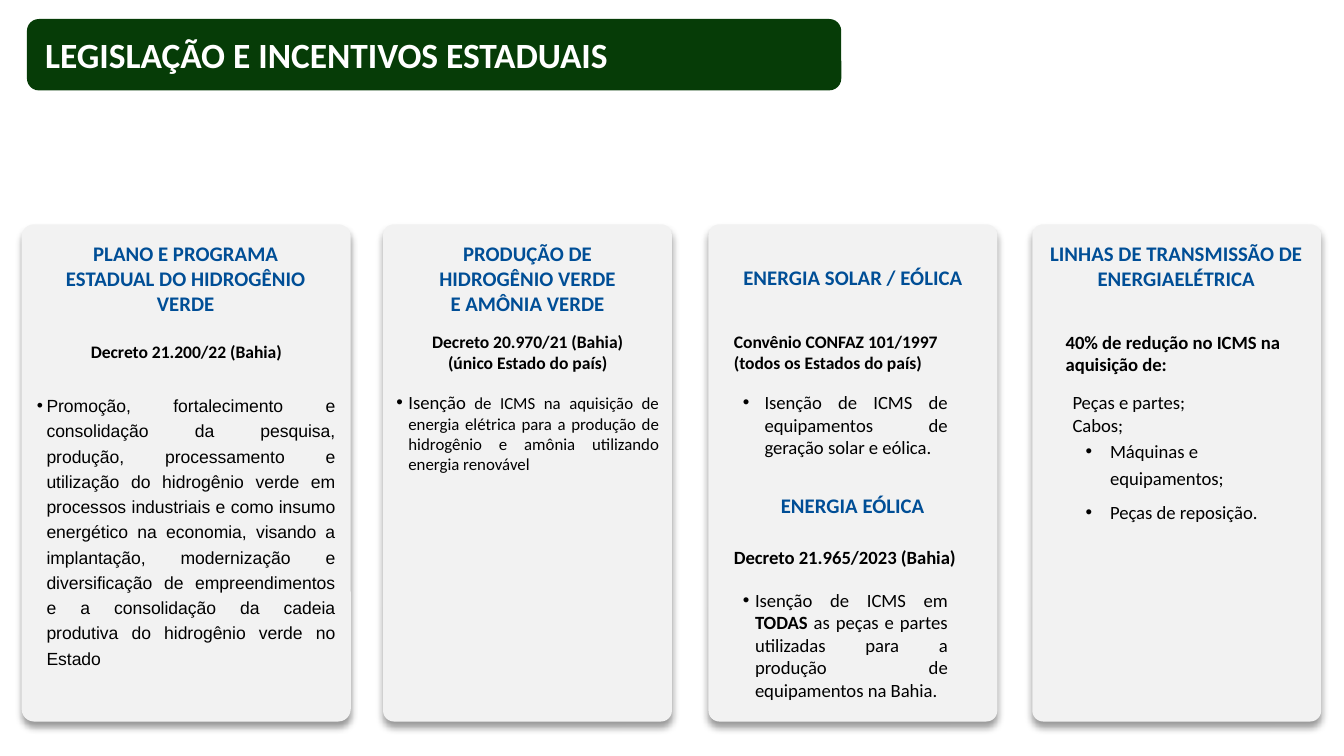
from copy import deepcopy
from dataclasses import dataclass

from lxml import etree
from pptx import Presentation
from pptx.dml.color import RGBColor
from pptx.enum.shapes import MSO_SHAPE
from pptx.enum.text import MSO_ANCHOR, PP_ALIGN
from pptx.oxml.ns import qn
from pptx.slide import Slide
from pptx.text.text import TextFrame
from pptx.util import Cm, Pt

ROUNDED = MSO_SHAPE.ROUNDED_RECTANGLE
MIDDLE = MSO_ANCHOR.MIDDLE
LEFT, CENTER, JUSTIFY = PP_ALIGN.LEFT, PP_ALIGN.CENTER, PP_ALIGN.JUSTIFY

COLORS = {
    "banner": "063C07",
    "card": "F2F2F2",
    "heading": "004E96",
    "text": "000000",
    "white": "FFFFFF",
}
CARD_TOP, CARD_HEIGHT = 4.24, 9.4
HEADING_TOP, DECREE_TOP, BODY_TOP = 4.42, 6.12, 7.26


@dataclass(frozen=True)
class Run:
    text: str
    size: float = 10
    bold: bool = False


@dataclass(frozen=True)
class Item:
    runs: tuple[Run, ...]
    margin: float = 0
    hanging: float = 0
    spacing: float = 1.0


@dataclass(frozen=True)
class Box:
    left: float
    top: float
    width: float
    height: float


@dataclass(frozen=True)
class Label:
    box: Box
    lines: tuple[str, ...]
    size: float = 11.1
    color: str = "heading"
    align: PP_ALIGN = CENTER
    inset: float = 0


@dataclass(frozen=True)
class BulletList:
    box: Box
    items: tuple[Item, ...]
    align: PP_ALIGN = JUSTIFY
    font: str = "Calibri"


CARDS = [
    Box(left, CARD_TOP, width, CARD_HEIGHT)
    for left, width in ((0.41, 6.22), (7.24, 5.46), (13.39, 5.46), (19.51, 5.46))
]

LABELS = [
    Label(Box(1.12, HEADING_TOP, 4.78, 1.68), ("PLANO E PROGRAMA ESTADUAL DO HIDROGÊNIO VERDE",)),
    Label(Box(7.62, HEADING_TOP, 4.7, 1.68), ("PRODUÇÃO DE\vHIDROGÊNIO VERDE\vE AMÔNIA VERDE",)),
    Label(Box(13.54, 4.88, 5.16, 0.74), ("ENERGIA SOLAR / EÓLICA",)),
    Label(Box(19.82, HEADING_TOP, 4.82, 1.19), ("LINHAS DE TRANSMISSÃO DE ENERGIAELÉTRICA",)),
    Label(Box(14.02, 9.19, 4.19, 0.74), ("ENERGIA EÓLICA",)),
    Label(Box(1.45, 6.32, 4.14, 0.66), ("Decreto 21.200/22 (Bahia)",), 9.4, "text"),
    Label(Box(7.9, DECREE_TOP, 4.14, 1.07),
          ("Decreto 20.970/21 (Bahia)", "(único Estado do país)"), 9.4, "text"),
    Label(Box(13.79, DECREE_TOP, 4.65, 1.07),
          ("Convênio CONFAZ 101/1997 (todos os Estados do país)",), 9.4, "text", LEFT, 0.08),
    Label(Box(20.14, DECREE_TOP, 4.19, 1.12),
          ("40% de redução no ICMS na aquisição de:",), 10, "text", LEFT),
    Label(Box(13.79, 10.19, 4.65, 0.69),
          ("Decreto 21.965/2023 (Bahia)",), 10, "text", LEFT, 0.08),
]

LISTS = [
    BulletList(Box(0.43, BODY_TOP, 6.15, 5.51), (
        Item((Run("Promoção, fortalecimento e consolidação da pesquisa, produção, "
                  "processamento e utilização do hidrogênio verde em processos industriais "
                  "e como insumo energético na economia, visando a implantação, modernização "
                  "e diversificação de empreendimentos e a consolidação da cadeia produtiva "
                  "do hidrogênio verde no Estado", 9.4),), 0.2, 0.18, 1.2),
    ), font="Arial"),
    BulletList(Box(7.24, BODY_TOP, 5.46, 1.83), (
        Item((Run("Isenção"),
              Run(" de ICMS na aquisição de energia elétrica para a produção de hidrogênio "
                  "e amônia utilizando energia renovável", 9)), 0.23, 0.23),
    )),
    BulletList(Box(13.79, BODY_TOP, 4.37, 1.55), (
        Item((Run("Isenção de ICMS de equipamentos de geração solar e eólica."),), 0.41, 0.41),
    )),
    BulletList(Box(13.79, 11, 4.37, 2.39), (
        Item((Run("Isenção de ICMS em "), Run("TODAS", bold=True),
              Run(" as peças e partes utilizadas para a produção de equipamentos na Bahia.")),
             0.23, 0.23),
    )),
    BulletList(Box(20.02, BODY_TOP, 4.45, 2.9), (
        Item((Run("Peças e partes;"),)),
        Item((Run("Cabos;"),)),
        Item((Run("Máquinas e equipamentos;"),), 0.71, 0.46, 1.2),
        Item((Run("Peças de reposição."),), 0.71, 0.46, 1.5),
    ), LEFT),
]


def write_text(frame: TextFrame, items: tuple[Item, ...], *, color: str = "text",
               align: PP_ALIGN = LEFT, font: str = "Calibri", inset: float = 0.25) -> None:
    frame.word_wrap = True
    frame.margin_left = frame.margin_right = Cm(inset)
    frame.margin_top = frame.margin_bottom = Cm(0.13)
    for index, item in enumerate(items):
        paragraph = frame.add_paragraph() if index else frame.paragraphs[0]
        paragraph.alignment = align
        paragraph.line_spacing = item.spacing
        properties = paragraph._p.get_or_add_pPr()
        properties.set("marL", str(Cm(item.margin)))
        properties.set("indent", str(-Cm(item.hanging)))
        if item.hanging:
            paragraph.level = 1
            bullet_font = etree.SubElement(properties, qn("a:buFont"))
            bullet_font.set("typeface", "Arial")
            etree.SubElement(properties, qn("a:buChar")).set("char", "•")
        for part in item.runs:
            for line_number, line in enumerate(part.text.split("\v")):
                if line_number:
                    paragraph.add_line_break()
                run = paragraph.add_run()
                run.text = line
                run.font.name = font
                run.font.size = Pt(part.size)
                run.font.bold = part.bold
                run.font.color.rgb = RGBColor.from_string(COLORS[color])
        for line_break in paragraph._p.findall(qn("a:br")):
            line_break.append(deepcopy(paragraph.runs[0].font._rPr))


def add_panel(slide: Slide, box: Box, color: str):
    shape = slide.shapes.add_shape(ROUNDED, Cm(box.left), Cm(box.top), Cm(box.width), Cm(box.height))
    shape.shadow.inherit = False
    shape.fill.solid()
    shape.fill.fore_color.rgb = RGBColor.from_string(COLORS[color])
    shape.line.fill.background()
    return shape


def add_card(slide: Slide, box: Box) -> None:
    shape = add_panel(slide, box, "card")
    shape.adjustments[0] = 0.038
    effects = shape._element.spPr.find(qn("a:effectLst"))
    shadow = etree.SubElement(effects, qn("a:outerShdw"), blurRad=str(Pt(4)), dist=str(Pt(3)),
                              dir="5400000", algn="t", rotWithShape="0")
    shadow_color = etree.SubElement(shadow, qn("a:srgbClr"), val=COLORS["text"])
    etree.SubElement(shadow_color, qn("a:alpha"), val="40000")


def add_text_frame(slide: Slide, box: Box) -> TextFrame:
    return slide.shapes.add_textbox(
        Cm(box.left), Cm(box.top), Cm(box.width), Cm(box.height)).text_frame


def main() -> None:
    presentation = Presentation()
    presentation.slide_width, presentation.slide_height = Cm(25.4), Cm(14.29)
    slide = presentation.slides.add_slide(presentation.slide_layouts[6])
    banner = add_panel(slide, Box(0.51, 0.36, 15.39, 1.35), "banner")
    banner.text_frame.vertical_anchor = MIDDLE
    title = Item((Run("LEGISLAÇÃO E INCENTIVOS ESTADUAIS", 19, True),), 0.03)
    write_text(banner.text_frame, (title,), color="white")
    for card in CARDS:
        add_card(slide, card)
    for label in LABELS:
        items = tuple(Item((Run(line, label.size, True),)) for line in label.lines)
        write_text(add_text_frame(slide, label.box), items, color=label.color,
                   align=label.align, inset=label.inset)
    for bullets in LISTS:
        write_text(add_text_frame(slide, bullets.box), bullets.items,
                   align=bullets.align, font=bullets.font)
    presentation.save("out.pptx")


if __name__ == "__main__":
    main()
